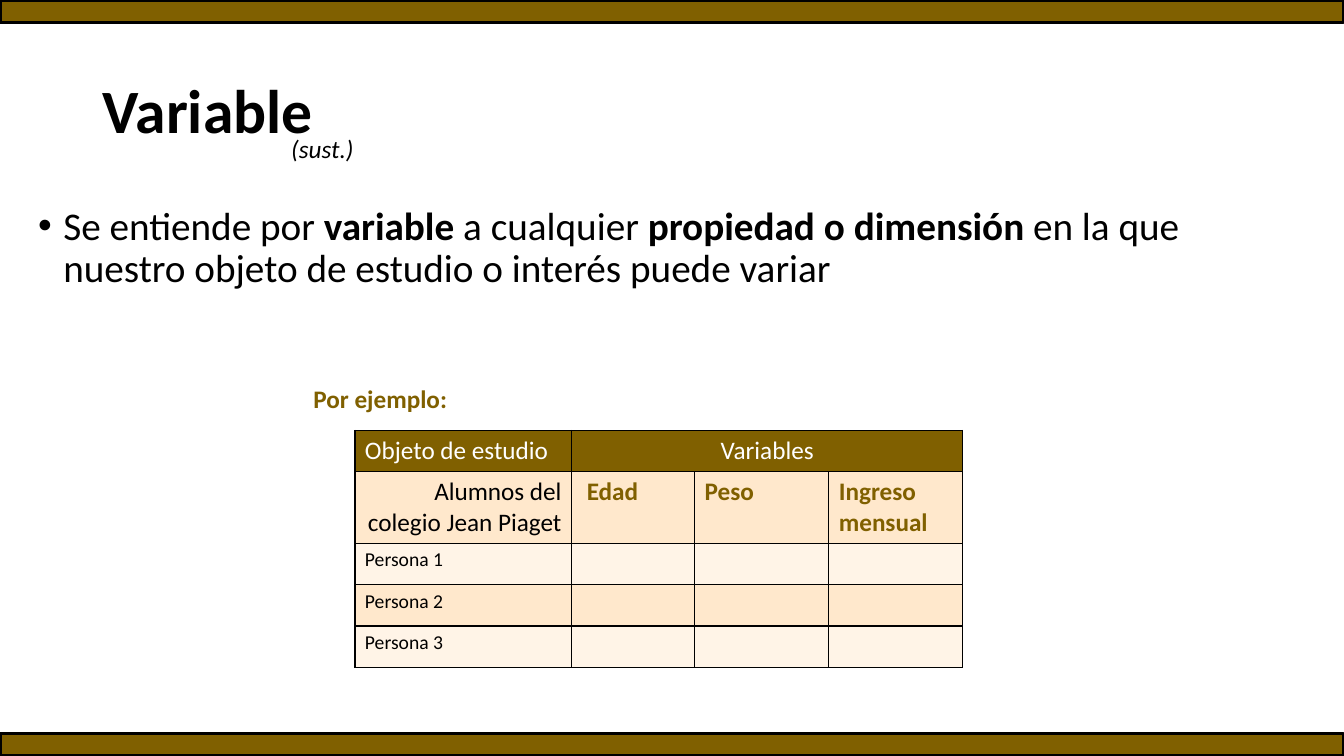
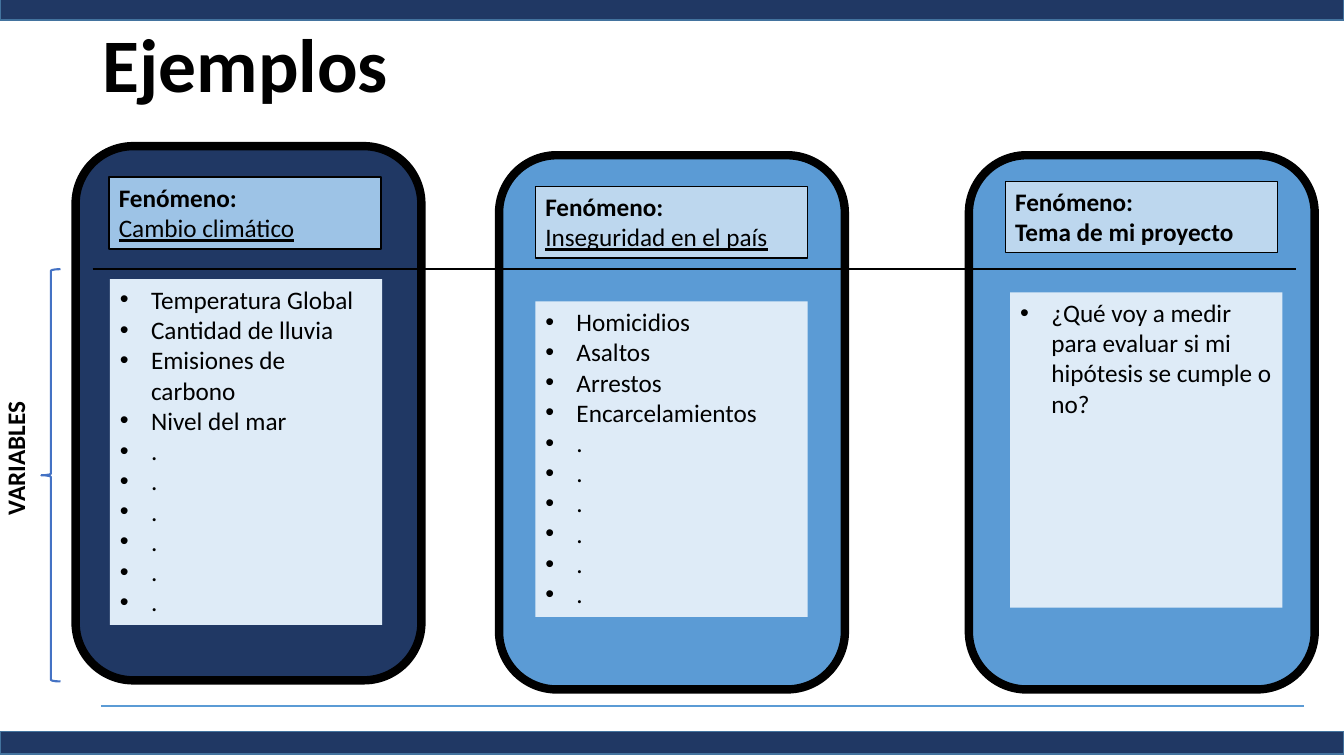
from pptx import Presentation
from pptx.dml.color import RGBColor
from pptx.enum.shapes import MSO_CONNECTOR, MSO_SHAPE
from pptx.enum.text import MSO_ANCHOR, PP_ALIGN
from pptx.oxml.ns import qn
from pptx.util import Inches, Pt
from lxml.etree import SubElement

WIDE, HIGH = 13.33, 7.5
BAND = 0.22
FONT = "Calibri"
HUES = {
    "black": "000000", "white": "FFFFFF", "brown": "806000",
    "peach": "FFE8CC", "cream": "FFF4E7", "navy": "203864",
    "blue": "5B9BD5", "sky": "9DC3E6", "pale": "BDD7EE",
    "ice": "DEEBF7", "edge": "43739E", "brace": "4472C4",
}
BOLD = {"bold": True}
UNDER = {"underline": True}


def hue(name):
    return RGBColor.from_string(HUES[name])


def style(font, look):
    """Apply the base text format, changed by look."""
    values = {"name": FONT, "size": 18, "color": "black", **look}
    font.color.rgb = hue(values.pop("color"))
    values["size"] = Pt(values["size"])
    for key, value in values.items():
        setattr(font, key, value)


def bullet(para, indent):
    props = para._p.get_or_add_pPr()
    props.set("marL", str(Inches(indent)))
    props.set("indent", str(-Inches(indent)))
    SubElement(props, qn("a:buFont")).set("typeface", "Arial")
    SubElement(props, qn("a:buChar")).set("char", "•")


def write(frame, lines, align=PP_ALIGN.LEFT, space=None, indent=None):
    """Each line is a list of (text, format) runs."""
    for i, runs in enumerate(lines):
        para = frame.paragraphs[0] if i == 0 else frame.add_paragraph()
        if indent:
            bullet(para, indent)
        para.alignment = align
        para.line_spacing = space
        for text, look in runs:
            run = para.add_run()
            run.text = text
            style(run.font, look)


def text(slide, box, lines, anchor=MSO_ANCHOR.TOP, **opts):
    shape = slide.shapes.add_textbox(*map(Inches, box))
    frame = shape.text_frame
    frame.word_wrap = True
    frame.vertical_anchor = anchor
    write(frame, lines, **opts)
    return shape


def block(slide, kind, box, fill=None, line=None, width=1):
    shape = slide.shapes.add_shape(kind, *map(Inches, box))
    shape.shadow.inherit = False
    if fill:
        shape.fill.solid()
        shape.fill.fore_color.rgb = hue(fill)
    else:
        shape.fill.background()
    if line:
        shape.line.color.rgb = hue(line)
        shape.line.width = Pt(width)
    else:
        shape.line.fill.background()
    return shape


def panel(slide, box, lines, indent=None, **look):
    shape = block(slide, MSO_SHAPE.RECTANGLE, box, **look)
    shape.text_frame.vertical_anchor = MSO_ANCHOR.TOP
    write(shape.text_frame, lines, indent=indent)


def rule(slide, left, top, width, color):
    line = slide.shapes.add_connector(
        MSO_CONNECTOR.STRAIGHT, *map(Inches, (left, top, left + width, top)))
    line.line.color.rgb = hue(color)
    line.line.width = Pt(1.5)
    SubElement(line._element.spPr, qn("a:effectLst"))


def bands(slide, fill, line, width, shift=0):
    for top in (0, HIGH - BAND):
        block(slide, MSO_SHAPE.RECTANGLE, (0, top + shift, WIDE, BAND),
              fill, line, width)


def title(slide, words, top, height, size):
    text(slide, (0.92, top, 11.5, height),
         [[(words, {"size": size, "bold": True})]],
         anchor=MSO_ANCHOR.MIDDLE, space=0.9)


def border(cell):
    props = cell._tc.get_or_add_tcPr()
    for i, side in enumerate(("lnL", "lnR", "lnT", "lnB")):
        edge = props.makeelement(qn("a:" + side), {"w": str(Pt(1))})
        fill = SubElement(edge, qn("a:solidFill"))
        SubElement(fill, qn("a:srgbClr")).set("val", HUES["black"])
        props.insert(i, edge)


def grid(slide, left, top):
    """Table of people against variables."""
    cols = (2.15, 1.22, 1.33, 1.33)
    rows = (0.41, 0.71, 0.41, 0.41, 0.41)
    fills = ("brown", "peach", "cream", "peach", "cream")
    names = {"color": "brown", "bold": True}
    cells = {
        (0, 0): ("Objeto de estudio", {"color": "white"}),
        (0, 1): ("Variables", {"color": "white"}),
        (1, 0): ("Alumnos del colegio Jean Piaget", {}),
        (1, 1): ("Edad", names),
        (1, 2): ("Peso", names),
        (1, 3): ("Ingreso mensual", names),
    }
    for n in (1, 2, 3):
        cells[n + 1, 0] = (f"Persona {n}", {"size": 14})
    aligns = {(0, 1): PP_ALIGN.CENTER, (1, 0): PP_ALIGN.RIGHT}
    size = (left, top, sum(cols), sum(rows))
    table = slide.shapes.add_table(
        len(rows), len(cols), *map(Inches, size)).table
    table.first_row = table.horz_banding = False
    for col, width in zip(table.columns, cols):
        col.width = Inches(width)
    for r, height in enumerate(rows):
        table.rows[r].height = Inches(height)
        for c in range(len(cols)):
            cell = table.cell(r, c)
            cell.fill.solid()
            cell.fill.fore_color.rgb = hue(fills[r])
            border(cell)
            if (r, c) in cells:
                write(cell.text_frame, [[cells[r, c]]],
                      aligns.get((r, c), PP_ALIGN.LEFT))
    table.cell(0, 1).merge(table.cell(0, 3))
    table.cell(1, 1).margin_left = Inches(0.15)
    for r in (0, 1):
        table.cell(r, 0).vertical_anchor = MSO_ANCHOR.MIDDLE


def card(slide, box, fill, head, topic, body, items):
    """Rounded card; head and body are boxes relative to its corner."""
    left, top = box[:2]
    block(slide, MSO_SHAPE.ROUNDED_RECTANGLE, box, fill, "black", 6)
    x, y, color, width = head
    panel(slide, (left + x, top + y, 2.7, 0.71),
          [[("Fenómeno:", BOLD)], [topic]],
          fill=color, line="black", width=width)
    x, y, height = body
    panel(slide, (left + x, top + y, 2.7, height),
          [[(item, {})] for item in items], indent=0.31, fill="ice")


def define(slide):
    # Heading and definition
    title(slide, "Variable", 0.4, 1.45, 44)
    plain, strong = {"size": 28}, {"size": 28, "bold": True}
    text(slide, (0.28, 2, 12.72, 4.76), [[
        ("Se entiende por ", plain), ("variable ", strong),
        ("a cualquier ", plain), ("propiedad o dimensión ", strong),
        ("en la que nuestro objeto de estudio o interés puede variar", plain),
    ]], space=0.9, indent=0.25)
    # Example
    grid(slide, 3.52, 4.27)
    bands(slide, "brown", "black", 2.25)
    text(slide, (2.79, 1.27, 1.43, 0.4), [[("(sust.)", {"italic": True})]])
    text(slide, (3.01, 3.75, 2.48, 0.4),
         [[("Por ejemplo:", {"color": "brown", "bold": True})]])


def compare(slide):
    title(slide, "Ejemplos", 0.21, 0.92, 54)
    # Cards
    dots = ["."] * 6
    size = (3.43, 5.3)
    card(slide, (0.75, 1.45, *size), "navy", (0.33, 0.31, "sky", 1.5),
         ("Cambio climático", UNDER), (0.34, 1.32, 3.43),
         ["Temperatura Global", "Cantidad de lluvia",
          "Emisiones de carbono", "Nivel del mar", *dots])
    card(slide, (4.95, 1.54, *size), "blue", (0.36, 0.31, "pale", 0.75),
         ("Inseguridad en el país", UNDER), (0.36, 1.45, 3.13),
         ["Homicidios", "Asaltos", "Arrestos", "Encarcelamientos", *dots])
    card(slide, (9.61, 1.54, *size), "blue", (0.36, 0.26, "pale", 0.75),
         ("Tema de mi proyecto", BOLD), (0.41, 1.36, 3.13),
         ["¿Qué voy a medir para evaluar si mi hipótesis se cumple o no?"])
    bands(slide, "navy", "edge", 1, shift=-0.02)
    # Side label, brace and rules
    label = text(slide, (-0.59, 4.27, 1.48, 0.4), [[("VARIABLES", BOLD)]])
    label.rotation = 270
    block(slide, MSO_SHAPE.LEFT_BRACE, (0.41, 2.67, 0.19, 4.09),
          line="brace", width=1.5)
    rule(slide, 0.92, 2.67, 11.93, "black")
    rule(slide, 1, 7, 11.93, "blue")


def main():
    deck = Presentation()
    deck.slide_width, deck.slide_height = Inches(WIDE), Inches(HIGH)
    for build in (define, compare):
        build(deck.slides.add_slide(deck.slide_layouts[6]))
    deck.save("out.pptx")


if __name__ == "__main__":
    main()
